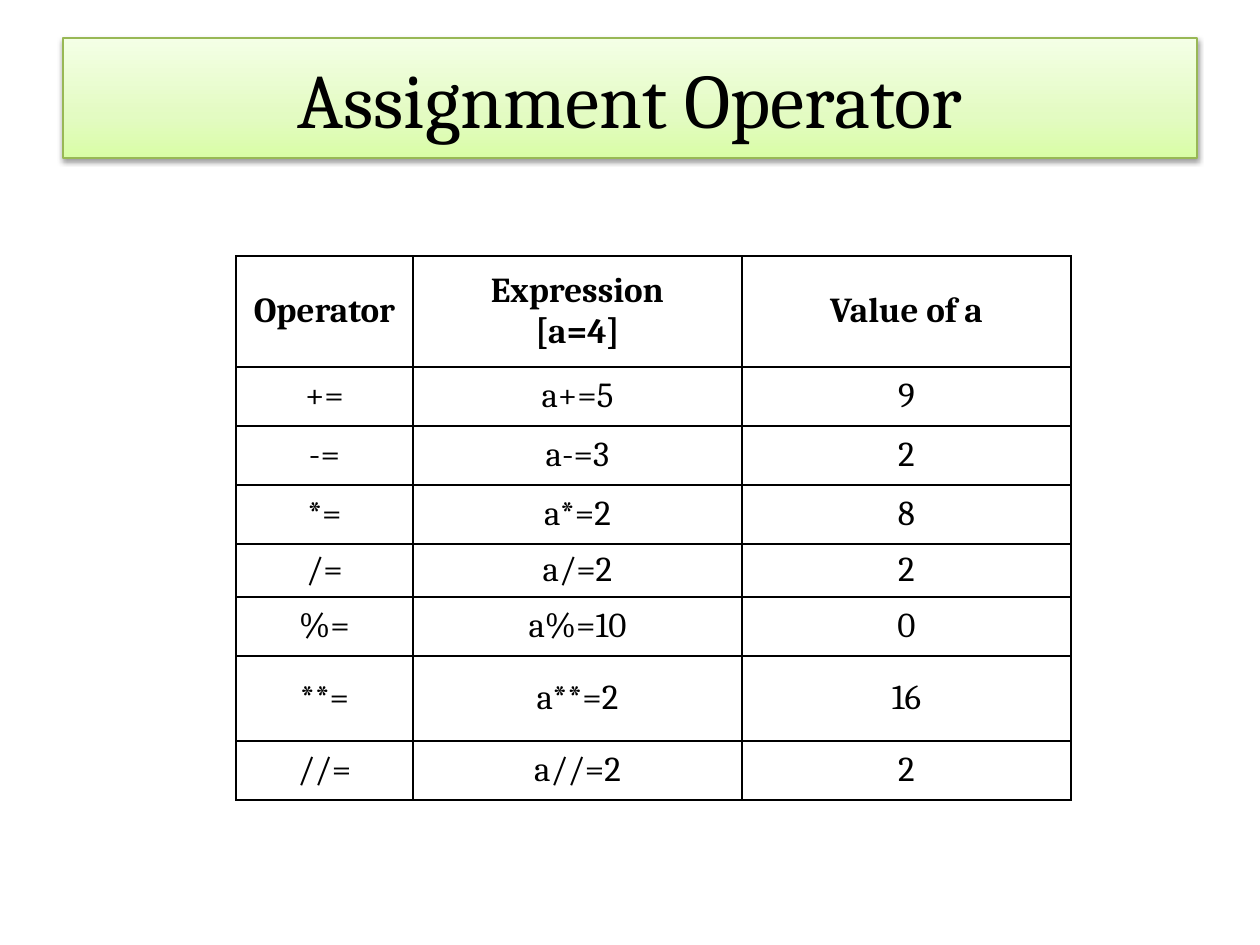
"""Build a slide with a table of assignment operators."""
import pptx
import pptx.util
import pptx.dml.color
import pptx.enum.text
import pptx.oxml
import pptx.oxml.ns

HUES = {"ink": "000000"}
FACE = "Cambria"
INK = pptx.dml.color.RGBColor.from_string(HUES["ink"])
MID = pptx.enum.text.MSO_ANCHOR.MIDDLE


def px(count):
    return pptx.util.Emu(round(count * 914400 / 126))


def style(frame, size, bold):
    for para in frame.paragraphs:
        para.alignment = pptx.enum.text.PP_ALIGN.CENTER
        para.font.name = FACE
        para.font.size = pptx.util.Pt(size)
        para.font.bold = bold
        para.font.color.rgb = INK


deck = pptx.Presentation()
deck.slide_width, deck.slide_height = px(1260), px(945)
slide = deck.slides.add_slide(deck.slide_layouts[5])

title = slide.shapes.title
title.left, title.top, title.width, title.height = px(63), px(38), px(1134), px(120)
title.text_frame.text = "Assignment Operator"
title.text_frame.vertical_anchor = MID
style(title.text_frame, 44, False)
refs = "".join(
    f'<a:{name}Ref idx="{idx}"><a:schemeClr val="{hue}"/></a:{name}Ref>'
    for name, idx, hue in [("ln", 1, "accent3"), ("fill", 2, "accent3"),
                           ("effect", 1, "accent3"), ("font", "minor", "dk1")])
title._element.spPr.addnext(pptx.oxml.parse_xml(
    f'<p:style {pptx.oxml.ns.nsdecls("p", "a")}>{refs}</p:style>'))

rows = [
    ("Operator", "Expression\n[a=4]", "Value of a"),
    ("+=", "a+=5", "9"),
    ("-=", "a-=3", "2"),
    ("*=", "a*=2", "8"),
    ("/=", "a/=2", "2"),
    ("%=", "a%=10", "0"),
    ("**=", "a**=2", "16"),
    ("//=", "a//=2", "2"),
]
wides = [177, 329, 329]
highs = [111, 59, 59, 59, 53, 59, 85, 59]

frame = slide.shapes.add_table(
    len(rows), len(wides), px(236), px(256), px(sum(wides)), px(sum(highs)))
table = frame.table
table.first_row = table.horz_banding = False
for col, wide in zip(table.columns, wides):
    col.width = px(wide)
for row, high in zip(table.rows, highs):
    row.height = px(high)

for r, texts in enumerate(rows):
    for c, text in enumerate(texts):
        cell = table.cell(r, c)
        cell.text = text
        cell.vertical_anchor = MID
        cell.fill.background()
        style(cell.text_frame, 20, r == 0)
        props = cell._tc.get_or_add_tcPr()
        for spot, side in enumerate("LRTB"):
            props.insert(spot, pptx.oxml.parse_xml(
                f'<a:ln{side} {pptx.oxml.ns.nsdecls("a")} w="12700"><a:solidFill>'
                f'<a:srgbClr val="{HUES["ink"]}"/></a:solidFill></a:ln{side}>'))

deck.save("out.pptx")
